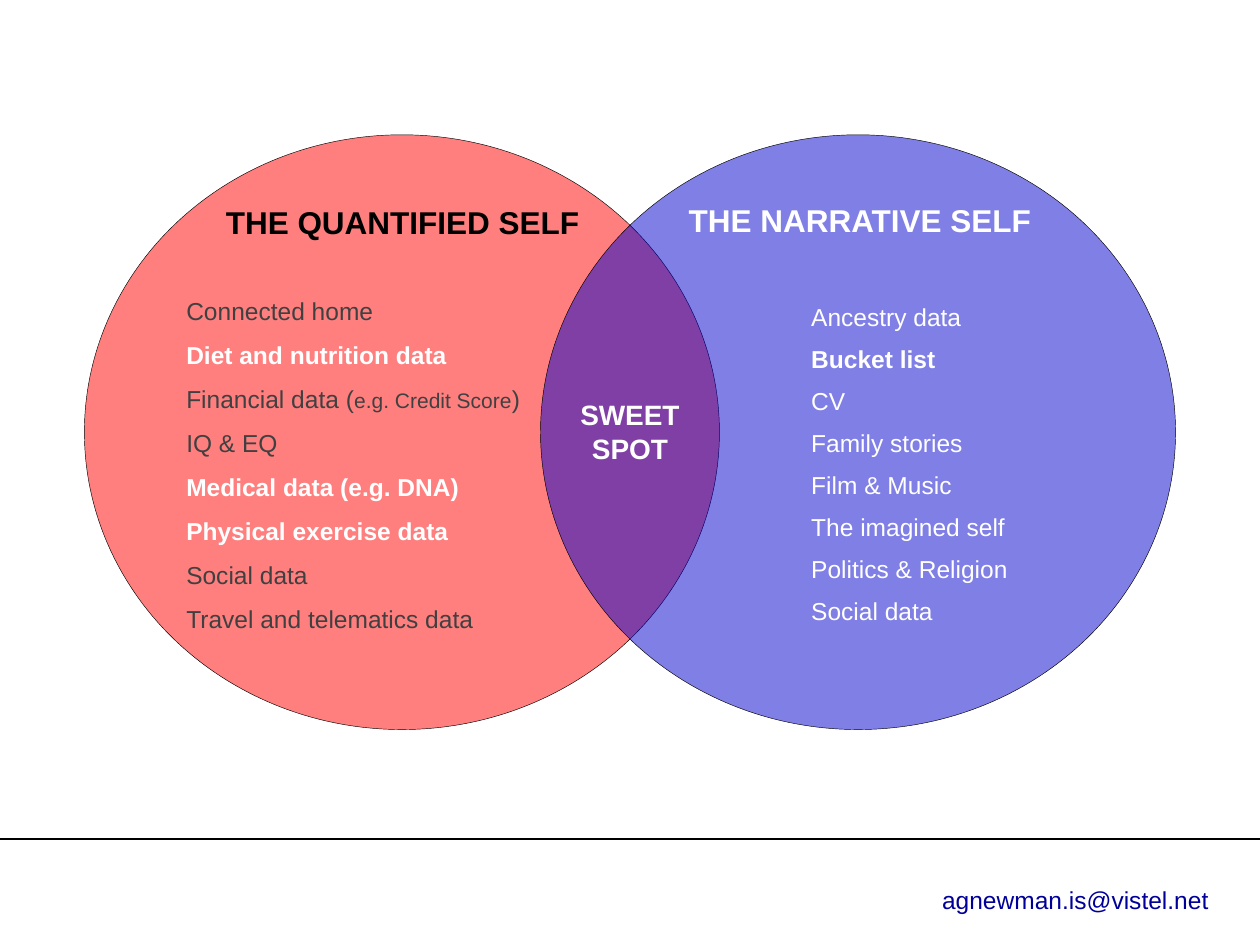
"""Build a two-circle Venn slide of the quantified and the narrative self."""
import pptx
import pptx.dml.color
import pptx.enum.shapes
import pptx.enum.text
import pptx.oxml.ns
import pptx.util
import lxml.etree
from pptx.util import Inches

RGBColor = pptx.dml.color.RGBColor
BLACK = RGBColor(0x00, 0x00, 0x00)
WHITE = RGBColor(0xFF, 0xFF, 0xFF)
GREY = RGBColor(0x40, 0x40, 0x40)
RED = RGBColor(0xFF, 0x00, 0x00)
BLUE = RGBColor(0x00, 0x00, 0xCC)
NAVY = RGBColor(0x00, 0x00, 0x99)
CENTER = pptx.enum.text.PP_ALIGN.CENTER
LEFT = pptx.enum.text.PP_ALIGN.LEFT


def add_text(s, box, lines, size, align=CENTER, spacing=None):
    """Add a text box; each line is (runs, color, bold), each run (text, size or None)."""
    tf = s.shapes.add_textbox(*map(Inches, box)).text_frame
    tf.word_wrap = align == LEFT
    for i, (runs, color, bold) in enumerate(lines):
        p = tf.paragraphs[0] if i == 0 else tf.add_paragraph()
        p.alignment = align
        p.line_spacing = spacing
        p.font.name = "Arial"
        p.font.size = pptx.util.Pt(size)
        p.font.bold = bold
        p.font.color.rgb = color
        for text, run_size in runs:
            r = p.add_run()
            r.text = text
            if run_size:
                r.font.size = pptx.util.Pt(run_size)


def plain(texts, color, bold_texts=(), bold_color=WHITE):
    """Turn one-run texts into lines, with the chosen ones bold."""
    return [([(t, None)], bold_color if t in bold_texts else color, t in bold_texts)
            for t in texts]


prs = pptx.Presentation()
prs.slide_width, prs.slide_height = Inches(10), Inches(7.5)
s = prs.slides.add_slide(prs.slide_layouts[6])

rule = s.shapes.add_connector(pptx.enum.shapes.MSO_CONNECTOR.STRAIGHT,
                              Inches(0), Inches(6.66), Inches(10), Inches(6.66))
rule.line.color.rgb = BLACK
rule.line.width = pptx.util.Pt(0.75)
lxml.etree.SubElement(rule._element.spPr, pptx.oxml.ns.qn("a:effectLst"))

email = ["agnewman.is@vistel.net"]
add_text(s, (7.36, 6.82, 2.35, 0.44), plain(email, NAVY), 14, spacing=pptx.util.Pt(28))

for left, color in ((0.67, RED), (4.29, BLUE)):
    sp = s.shapes.add_shape(pptx.enum.shapes.MSO_SHAPE.OVAL,
                            Inches(left), Inches(1.07), Inches(5.04), Inches(4.72))
    sp.shadow.inherit = False
    sp.fill.solid()
    sp.fill.fore_color.rgb = color
    fill = sp._element.spPr.find(".//" + pptx.oxml.ns.qn("a:srgbClr"))
    lxml.etree.SubElement(fill, pptx.oxml.ns.qn("a:alpha"), val="50000")
    sp.line.color.rgb = BLACK
    sp.line.width = pptx.util.Pt(0.25)

quantified = plain(
    ["Connected home", "Diet and nutrition data", "IQ & EQ", "Medical data (e.g. DNA)",
     "Physical exercise data", "Social data", "Travel and telematics data"],
    GREY, ("Diet and nutrition data", "Medical data (e.g. DNA)", "Physical exercise data"))
financial = [("Financial data (", None), ("e.g. Credit Score", 12), (")", None)]
quantified.insert(2, (financial, GREY, False))
narrative = plain(
    ["Ancestry data", "Bucket list", "CV", "Family stories", "Film & Music",
     "The imagined self", "Politics & Religion", "Social data"],
    WHITE, ("Bucket list",))

heading = ["THE QUANTIFIED SELF"]
add_text(s, (1.69, 1.56, 3.01, 0.4), plain(heading, BLACK, heading, BLACK), 18)
add_text(s, (1.38, 2.18, 2.91, 2.93), quantified, 14, LEFT, 1.5)
heading = ["THE NARRATIVE SELF"]
add_text(s, (5.35, 1.55, 2.95, 0.4), plain(heading, WHITE, heading), 18)
add_text(s, (6.34, 2.25, 2.2, 2.79), narrative, 14, LEFT, pptx.util.Pt(24))
overlap = ["SWEET", "SPOT"]
add_text(s, (4.5, 3.11, 1, 0.64), plain(overlap, WHITE, overlap), 16)

prs.save("out.pptx")
